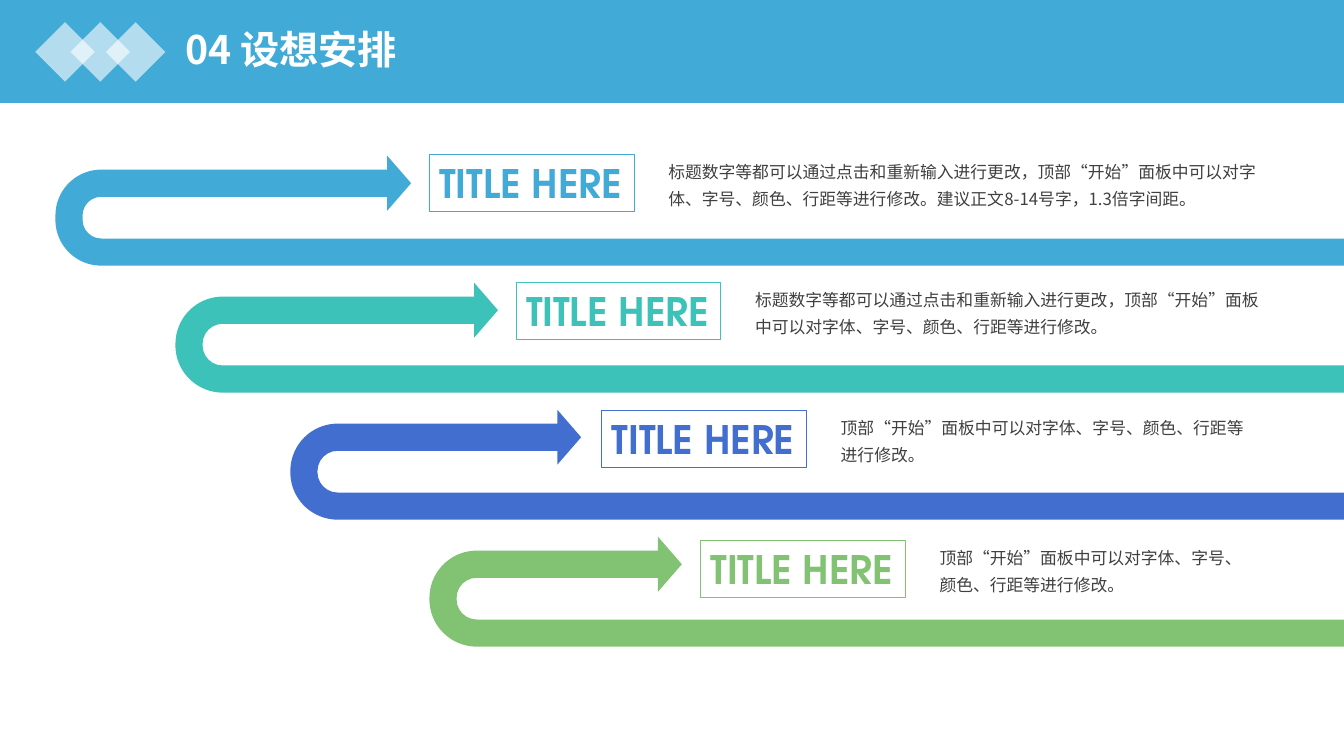
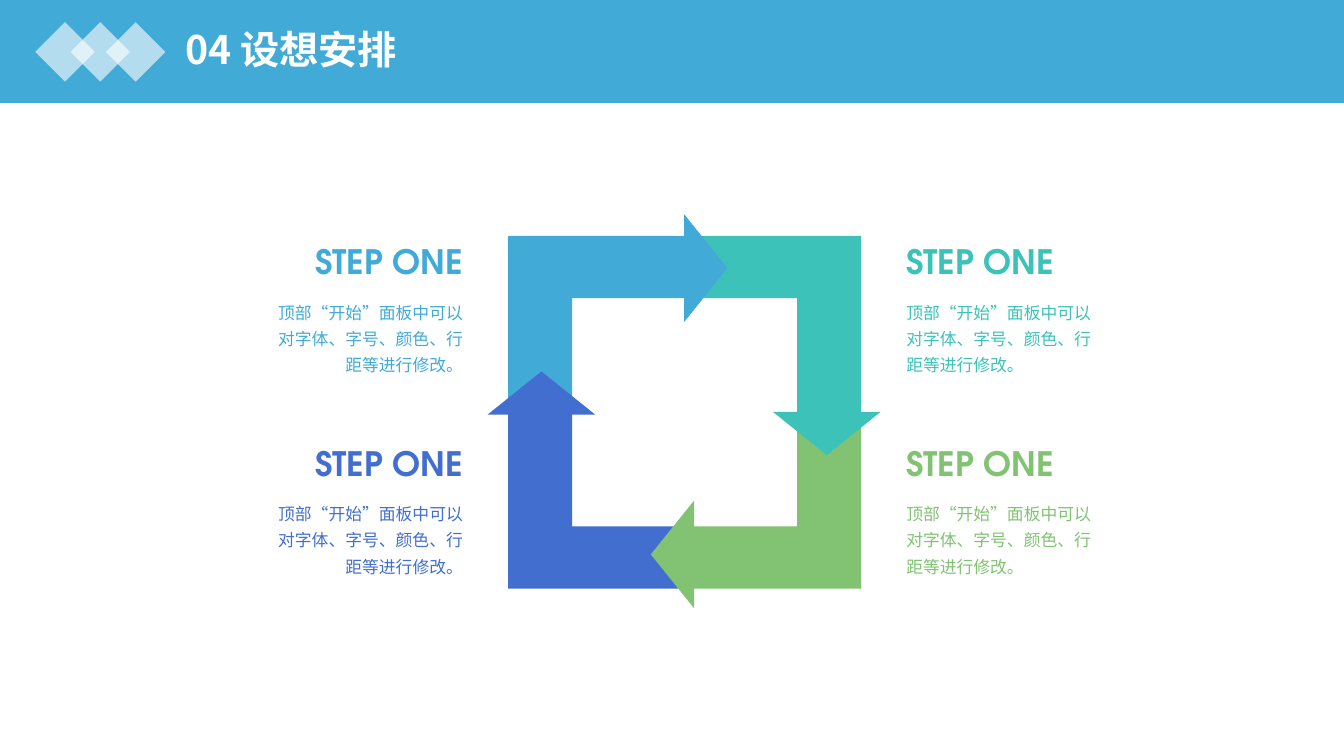
from dataclasses import dataclass

from lxml.etree import SubElement
from pptx import Presentation
from pptx.dml.color import RGBColor
from pptx.enum.shapes import MSO_SHAPE as Preset
from pptx.enum.text import MSO_ANCHOR as Anchor, MSO_AUTO_SIZE as AutoSize, PP_ALIGN as Align
from pptx.oxml.ns import qn
from pptx.util import Inches, Pt


@dataclass(frozen=True)
class Theme:
    blue: str = "41AAD7"
    teal: str = "3CC2B8"
    indigo: str = "426FCF"
    green: str = "81C373"
    white: str = "FFFFFF"
    ink: str = "404040"
    cjk: str = "Noto Sans CJK SC"
    display: str = "TeX Gyre Adventor"
    title_size: int = 28
    step_size: int = 24
    body_size: int = 12
    body_spacing: float = 1.3


THEME = Theme()
SLIDE_W, SLIDE_H = 13.33, 7.5

# Content
SECTION = "04 设想安排"
SHORT_TEXT = "顶部“开始”面板中可以对字体、字号、颜色、行距等进行修改。"
LONG_TEXT = "标题数字等都可以通过点击和重新输入进行更改，" + SHORT_TEXT
SIZE_TIP = "建议正文8-14号字，1.3倍字间距。"

# colour, arrow left, bend, label left, label top, text width, text
LANES = [
    (THEME.blue, 0.55, 0.416, 4.26, 1.53, 6.15, LONG_TEXT + SIZE_TIP),
    (THEME.teal, 1.74, 0.43, 5.12, 2.8, 5.29, LONG_TEXT),
    (THEME.indigo, 2.88, 0.43, 5.97, 4.07, 4.27, SHORT_TEXT),
    (THEME.green, 4.26, 0.43, 6.95, 5.36, 3.3, SHORT_TEXT),
]

# Clockwise: colour, column, row, centre of the arrowhead, heading, text
STEPS = [
    (THEME.blue, 0, 0, (7.0, 2.66), "STEP ONE", SHORT_TEXT),
    (THEME.teal, 1, 0, (8.2, 4.3), "STEP ONE", SHORT_TEXT),
    (THEME.green, 1, 1, (6.67, 5.5), "STEP ONE", SHORT_TEXT),
    (THEME.indigo, 0, 1, (5.37, 3.9), "STEP ONE", SHORT_TEXT),
]


# Helpers
def add_preset(page, preset, left, top, width, height, fill=None, line=None,
               rotation=0, adjust=(), opacity=None):
    shape = page.shapes.add_shape(
        preset, Inches(left), Inches(top), Inches(width), Inches(height))
    shape.shadow.inherit = False
    shape.rotation = rotation
    for index, value in enumerate(adjust):
        shape.adjustments[index] = value
    if fill:
        shape.fill.solid()
        shape.fill.fore_color.rgb = RGBColor.from_string(fill)
    else:
        shape.fill.background()
    if line:
        shape.line.color.rgb = RGBColor.from_string(line)
        shape.line.width = Pt(0.75)
    else:
        shape.line.fill.background()
    if opacity is not None:
        colour = shape.element.find(".//" + qn("a:srgbClr"))
        SubElement(colour, qn("a:alpha"), val=str(opacity * 1000))
    return shape


def write(box, text, font, size, color, bold=False, align=Align.LEFT,
          anchor=Anchor.TOP, spacing=None, before=None, wrap=True, grow=True):
    frame = box.text_frame
    frame.word_wrap = wrap
    frame.vertical_anchor = anchor
    frame.auto_size = AutoSize.SHAPE_TO_FIT_TEXT if grow else AutoSize.NONE
    para = frame.paragraphs[0]
    para.alignment = align
    if spacing:
        para.line_spacing = spacing
    if before:
        para.space_before = Pt(before)
    span = para.add_run()
    span.text = text
    span.font.size = Pt(size)
    span.font.bold = bold
    span.font.color.rgb = RGBColor.from_string(color)
    span.font.name = font
    SubElement(span.font._element, qn("a:ea"), typeface=font)


def add_text(page, left, top, width, height, text, font, size, color, **style):
    box = page.shapes.add_textbox(
        Inches(left), Inches(top), Inches(width), Inches(height))
    write(box, text, font, size, color, **style)


def add_body(page, left, top, width, height, text, color, align=Align.LEFT):
    add_text(page, left, top, width, height, text, THEME.cjk, THEME.body_size,
             color, align=align, spacing=THEME.body_spacing)


def add_page(deck):
    """A blank page with the shared title band."""
    page = deck.slides.add_slide(deck.slide_layouts[6])
    add_preset(page, Preset.RECTANGLE, 0, 0, SLIDE_W, 1.02, THEME.blue)
    for column in range(3):
        add_preset(page, Preset.DIAMOND, 0.35 * (column + 1), 0.22, 0.59, 0.59,
                   THEME.white, opacity=60)
    add_text(page, 1.74, 0.17, 10.94, 0.68, SECTION, THEME.cjk, THEME.title_size,
             THEME.white, bold=True, anchor=Anchor.MIDDLE, spacing=0.9,
             before=10, grow=False)
    return page


# Slide 1: four U-turn arrows running in from the right edge
def build_lanes(deck):
    page = add_page(deck)
    thickness, first_middle, pitch = 1.09, 2.09, 1.26
    for row, (color, left, bend, *_) in enumerate(LANES):
        length = SLIDE_W - left
        center_x, center_y = left + length / 2, first_middle + row * pitch
        add_preset(page, Preset.U_TURN_ARROW, center_x - thickness / 2,
                   center_y - length / 2, thickness, length, color, rotation=270,
                   adjust=(0.247, 0.25, 0.217, bend, 0.276))
    for color, _, _, left, top, width, text in LANES:
        label = add_preset(page, Preset.RECTANGLE, left, top, 2.03, 0.57, line=color)
        write(label, "TITLE HERE", THEME.display, THEME.title_size, color,
              bold=True, anchor=Anchor.MIDDLE, wrap=False)
        add_body(page, left + 2.27, top - 0.03, width, 0.63, text, THEME.ink)


# Slide 2: a square cycle of four corner arrows
def build_cycle(deck):
    page = add_page(deck)
    left, top, side = 5.04, 2.34, 1.75
    head_w, head_h = 1.07, 0.43
    for turn, (color, column, row, *_) in enumerate(STEPS, 1):
        adjust = (0.362, 0.353) if turn % 2 else (0.353, 0.362)
        add_preset(page, Preset.CORNER, left + column * side, top + row * side,
                   side, side, color, rotation=90 * turn % 360, adjust=adjust)
    for turn, (color, _, _, (x, y), _, _) in enumerate(STEPS, 1):
        add_preset(page, Preset.ISOSCELES_TRIANGLE, x - head_w / 2, y - head_h / 2,
                   head_w, head_h, color, rotation=90 * turn % 360)
    heading_w, body_w = 1.69, 2.15
    for color, column, row, _, heading, text in STEPS:
        align = Align.LEFT if column else Align.RIGHT
        heading_x, body_x = (8.89, 8.89) if column else (4.69 - heading_w, 4.69 - body_w)
        text_top = top + row * 2
        add_text(page, heading_x, text_top, heading_w, 0.5, heading, THEME.display,
                 THEME.step_size, color, bold=True, align=align,
                 anchor=Anchor.MIDDLE, wrap=False)
        add_body(page, body_x, text_top + 0.55, body_w, 0.89, text, color, align)


def main():
    deck = Presentation()
    deck.slide_width, deck.slide_height = Inches(SLIDE_W), Inches(SLIDE_H)
    build_lanes(deck)
    build_cycle(deck)
    deck.save("out.pptx")


if __name__ == "__main__":
    main()
